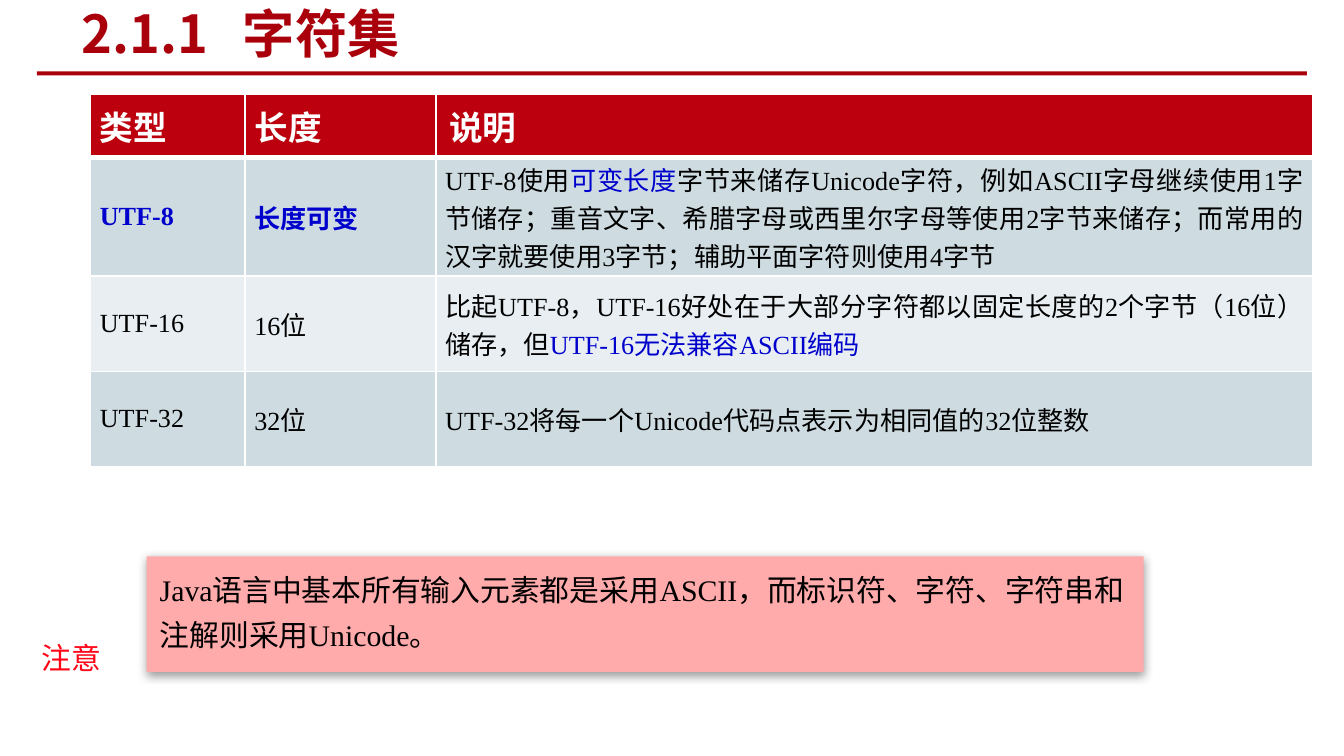
"""Build the character set slide with its encoding table and Java note."""
from dataclasses import dataclass

from lxml.etree import SubElement
from pptx import Presentation
from pptx.dml.color import RGBColor
from pptx.enum.shapes import MSO_SHAPE as Shape
from pptx.enum.text import MSO_ANCHOR as Anchor, PP_ALIGN as Align
from pptx.oxml.ns import qn
from pptx.util import Pt


@dataclass(frozen=True)
class Theme:
    title_color: str = "AA000B"
    header_fill: str = "BC000D"
    band_fills: tuple = ("CEDCE1", "E8EEF1")
    note_fill: str = "FFAAAB"
    label_color: str = "FF0517"
    accent: str = "0000CC"
    dark: str = "000000"
    light: str = "FFFFFF"
    serif: str = "Times New Roman"
    sans: str = "Noto Sans CJK SC"
    title_size: int = 28
    header_size: int = 18
    note_size: int = 16
    cell_size: int = 14


THEME = Theme()
TITLE = "2.1.1\t字符集"
HEADERS = ["类型", "长度", "说明"]
PLAIN, ACCENT, STRONG = (THEME.dark, False), (THEME.accent, False), (THEME.accent, True)
ROWS = [
    [
        [("UTF-8", STRONG)],
        [("长度可变", STRONG)],
        [
            ("UTF-8使用", PLAIN),
            ("可变长度", ACCENT),
            ("字节来储存Unicode字符，例如ASCII字母继续使用1字节储存；"
             "重音文字、希腊字母或西里尔字母等使用2字节来储存；"
             "而常用的汉字就要使用3字节；辅助平面字符则使用4字节", PLAIN),
        ],
    ],
    [
        [("UTF-16", PLAIN)],
        [("16位", PLAIN)],
        [
            ("比起UTF-8，UTF-16好处在于大部分字符都以固定长度的2个字节（16位）储存，但", PLAIN),
            ("UTF-16无法兼容ASCII编码", ACCENT),
        ],
    ],
    [
        [("UTF-32", PLAIN)],
        [("32位", PLAIN)],
        [("UTF-32将每一个Unicode代码点表示为相同值的32位整数", PLAIN)],
    ],
]
NOTE = "Java语言中基本所有输入元素都是采用ASCII，而标识符、字符、字符串和注解则采用Unicode。"
LABEL = "注意"

SLIDE_SIZE = (720, 405)
TITLE_BOX = (36.7, 1.4, 381.6, 32.4)
TITLE_TAB = 86.4
RULE_BOX = (19.7, 38.2, 680.4, 2.2)
TABLE_ORIGIN = (48.5, 50.7)
COLUMN_WIDTHS = [82.8, 102.2, 469.8]
ROW_HEIGHTS = [33.8, 63.4, 51.1, 51.1]
NOTE_BOX = (78.5, 298.1, 534.2, 61.9)
LABEL_BOX = (15.1, 339.1, 46.8, 26.6)
CELL_INSETS = (5, 0, 5, 0)
LAST_HEADER_INSETS = (7.2, 3.6, 7.2, 3.6)


def points(values):
    return [Pt(value) for value in values]


def paint(shape, color):
    shape.fill.solid()
    shape.fill.fore_color.rgb = RGBColor.from_string(color)


def add_run(paragraph, text, size, color, font=THEME.serif, bold=False):
    run = paragraph.add_run()
    run.text = text
    run.font.size = Pt(size)
    run.font.bold = bold
    run.font.name = font
    run.font.color.rgb = RGBColor.from_string(color)
    SubElement(run.font._element, qn("a:ea"), typeface=THEME.sans)


def add_rectangle(slide, box, color):
    shape = slide.shapes.add_shape(Shape.RECTANGLE, *points(box))
    shape.shadow.inherit = False
    paint(shape, color)
    shape.line.fill.background()
    return shape


def add_shadow(shape, blur, distance, opacity):
    effects = shape._element.spPr.find(qn("a:effectLst"))
    shadow = SubElement(effects, qn("a:outerShdw"), blurRad=str(Pt(blur)),
                        dist=str(Pt(distance)), dir="5400000", rotWithShape="0")
    color = SubElement(shadow, qn("a:srgbClr"), val=THEME.dark)
    SubElement(color, qn("a:alpha"), val=str(opacity * 1000))


def add_title(slide):
    frame = slide.shapes.add_textbox(*points(TITLE_BOX)).text_frame
    frame.word_wrap = True
    frame.vertical_anchor = Anchor.MIDDLE
    paragraph = frame.paragraphs[0]
    tabs = SubElement(paragraph._p.get_or_add_pPr(), qn("a:tabLst"))
    SubElement(tabs, qn("a:tab"), pos=str(Pt(TITLE_TAB)), algn="l")
    add_run(paragraph, TITLE, THEME.title_size, THEME.title_color, THEME.sans, True)


def set_borders(cell, top, bottom):
    properties = cell._tc.get_or_add_tcPr()
    for side, width in zip("LRTB", (1, 1, top, bottom)):
        line = SubElement(properties, qn(f"a:ln{side}"), w=str(Pt(width)))
        fill = SubElement(line, qn("a:solidFill"))
        SubElement(fill, qn("a:srgbClr"), val=THEME.light)


def fill_cell(cell, runs, size, color, insets, anchor, align):
    cell.margin_left, cell.margin_top, cell.margin_right, cell.margin_bottom = points(insets)
    cell.vertical_anchor = anchor
    paint(cell, color)
    paragraph = cell.text_frame.paragraphs[0]
    paragraph.alignment = align
    for text, (text_color, bold) in runs:
        add_run(paragraph, text, size, text_color, bold=bold)


def add_encoding_table(slide):
    size = (sum(COLUMN_WIDTHS), sum(ROW_HEIGHTS))
    table = slide.shapes.add_table(len(ROW_HEIGHTS), len(COLUMN_WIDTHS),
                                   *points(TABLE_ORIGIN + size)).table
    for column, width in zip(table.columns, COLUMN_WIDTHS):
        column.width = Pt(width)
    for row, height in zip(table.rows, ROW_HEIGHTS):
        row.height = Pt(height)
    for index, text in enumerate(HEADERS):
        last = index == len(HEADERS) - 1
        cell = table.cell(0, index)
        set_borders(cell, 1, 3)
        fill_cell(cell, [(text, (THEME.light, True))], THEME.header_size, THEME.header_fill,
                  LAST_HEADER_INSETS if last else CELL_INSETS,
                  Anchor.TOP if last else Anchor.MIDDLE, Align.LEFT)
    for number, row in enumerate(ROWS, start=1):
        for index, runs in enumerate(row):
            cell = table.cell(number, index)
            set_borders(cell, 3 if number == 1 else 1, 1)
            fill_cell(cell, runs, THEME.cell_size, THEME.band_fills[(number - 1) % 2],
                      CELL_INSETS, Anchor.MIDDLE, Align.JUSTIFY)


def add_note(slide):
    shape = add_rectangle(slide, NOTE_BOX, THEME.note_fill)
    add_shadow(shape, blur=5, distance=1.6, opacity=38)
    frame = shape.text_frame
    frame.word_wrap = True
    frame.vertical_anchor = Anchor.TOP
    paragraph = frame.paragraphs[0]
    paragraph.alignment = Align.LEFT
    paragraph.line_spacing = 1.25
    add_run(paragraph, NOTE, THEME.note_size, THEME.dark)


def add_label(slide):
    frame = slide.shapes.add_textbox(*points(LABEL_BOX)).text_frame
    frame.word_wrap = False
    add_run(frame.paragraphs[0], LABEL, THEME.note_size, THEME.label_color, THEME.sans)


def main():
    presentation = Presentation()
    presentation.slide_width, presentation.slide_height = points(SLIDE_SIZE)
    slide = presentation.slides.add_slide(presentation.slide_layouts[6])
    add_rectangle(slide, RULE_BOX, THEME.title_color)
    add_title(slide)
    add_note(slide)
    add_encoding_table(slide)
    add_label(slide)
    presentation.save("out.pptx")


if __name__ == "__main__":
    main()
